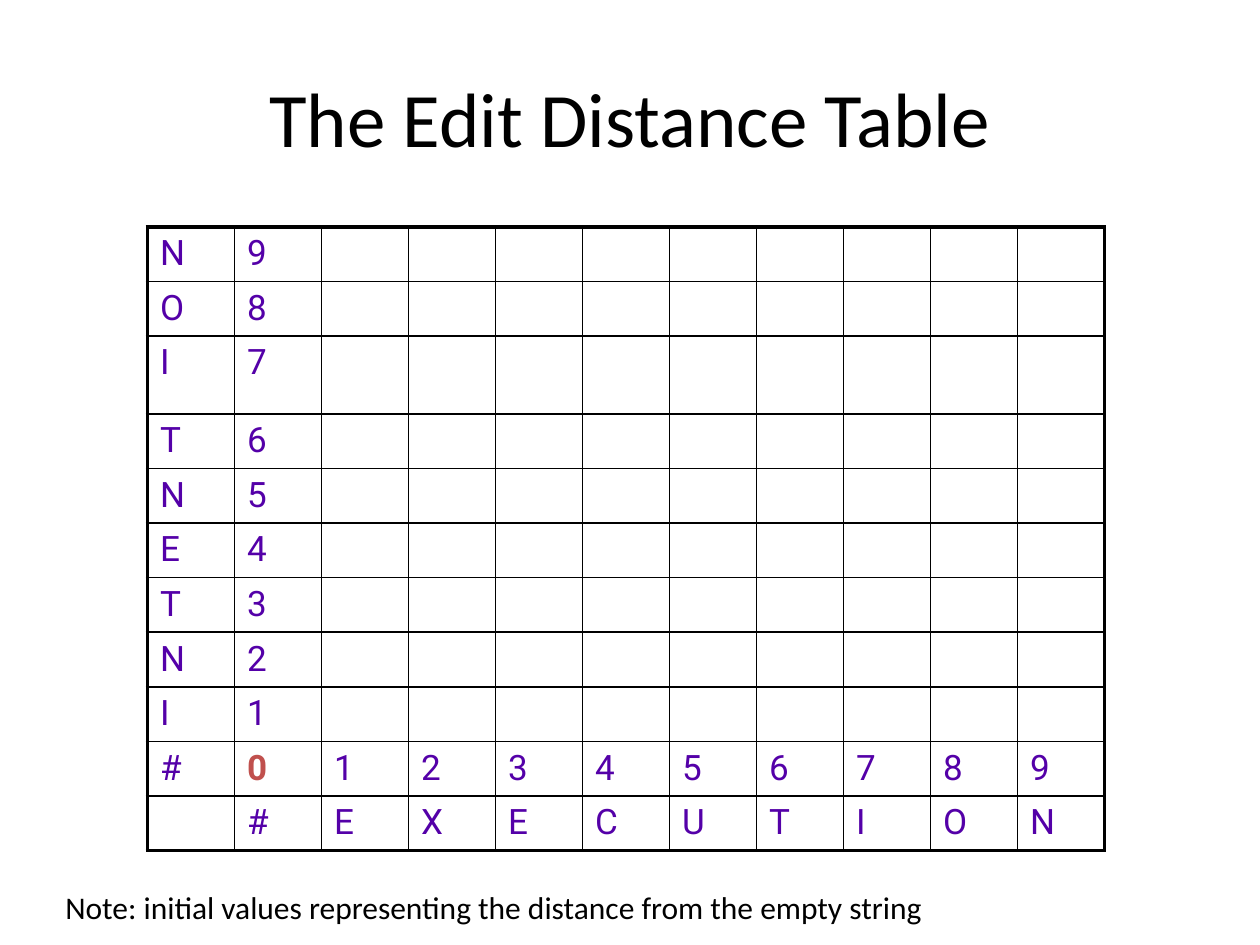
from dataclasses import dataclass

from lxml import etree
from pptx import Presentation
from pptx.dml.color import RGBColor
from pptx.enum.text import MSO_ANCHOR, PP_ALIGN
from pptx.oxml.ns import qn
from pptx.util import Inches, Pt

MIDDLE = MSO_ANCHOR.MIDDLE
CENTER = PP_ALIGN.CENTER
LEFT = PP_ALIGN.LEFT


@dataclass(frozen=True)
class Theme:
    ink: str = "000000"
    letter: str = "5400A8"
    origin: str = "C0504D"
    text_font: str = "Calibri"
    table_font: str = "Roboto"
    title_size: int = 44
    note_size: int = 18
    cell_size: int = 20
    outer_line: float = 2.25
    inner_line: float = 1


theme = Theme()


def style(paragraph, face, size, color, bold=False):
    font = paragraph.font
    font.name = face
    font.size = Pt(size)
    font.bold = bold
    font.color.rgb = RGBColor.from_string(color)


def add_border(cell, position, side, weight):
    line = etree.Element(qn(f"a:ln{side}"), w=str(Pt(weight)))
    fill = etree.SubElement(line, qn("a:solidFill"))
    etree.SubElement(fill, qn("a:srgbClr"), val=theme.ink)
    cell._tc.get_or_add_tcPr().insert(position, line)


deck = Presentation()
deck.slide_width = Inches(10)
deck.slide_height = Inches(7.5)
W, H = deck.slide_width, deck.slide_height
slide = deck.slides.add_slide(deck.slide_layouts[6])

source, target = "INTENTION", "EXECUTION"
grid = [[letter, str(len(source) - i)] + [""] * len(target)
        for i, letter in enumerate(reversed(source))]
grid.append(["#"] + [str(n) for n in range(len(target) + 1)])
grid.append(["", "#"] + list(target))

row_count, column_count = len(grid), len(grid[0])
tall_row, tall_share = 2, 1.43
table_width, table_height = int(W * 0.76), int(H * 0.66)
row_height = int(table_height / (row_count - 1 + tall_share))
column_width = table_width // column_count

distances = slide.shapes.add_table(
    row_count, column_count, int(W * 0.117), int(H * 0.24), table_width, table_height
).table
distances.first_row = False
distances.horz_banding = False
for column in distances.columns:
    column.width = column_width
for r, row in enumerate(distances.rows):
    row.height = int(row_height * tall_share) if r == tall_row else row_height

for r, entries in enumerate(grid):
    for c, entry in enumerate(entries):
        cell = distances.cell(r, c)
        cell.text = entry
        cell.fill.background()
        is_origin = entry == "0"
        style(cell.text_frame.paragraphs[0], theme.table_font, theme.cell_size,
              theme.origin if is_origin else theme.letter, is_origin)
        edges = {"L": c == 0, "R": c == column_count - 1,
                 "T": r == 0, "B": r == row_count - 1}
        for position, (side, is_outer) in enumerate(edges.items()):
            add_border(cell, position, side,
                       theme.outer_line if is_outer else theme.inner_line)

captions = [
    ("The Edit Distance Table", (0.05, 0.04, 0.9, 0.167), theme.title_size, CENTER),
    ("Note: initial values representing the distance from the empty string",
     (0.042, 0.933, 0.925, 0.054), theme.note_size, LEFT),
]
for wording, (x, y, width, height), size, alignment in captions:
    frame = slide.shapes.add_textbox(
        int(W * x), int(H * y), int(W * width), int(H * height)
    ).text_frame
    frame.word_wrap = True
    frame.vertical_anchor = MIDDLE
    frame.text = wording
    caption = frame.paragraphs[0]
    caption.alignment = alignment
    style(caption, theme.text_font, size, theme.ink)

deck.save("out.pptx")
